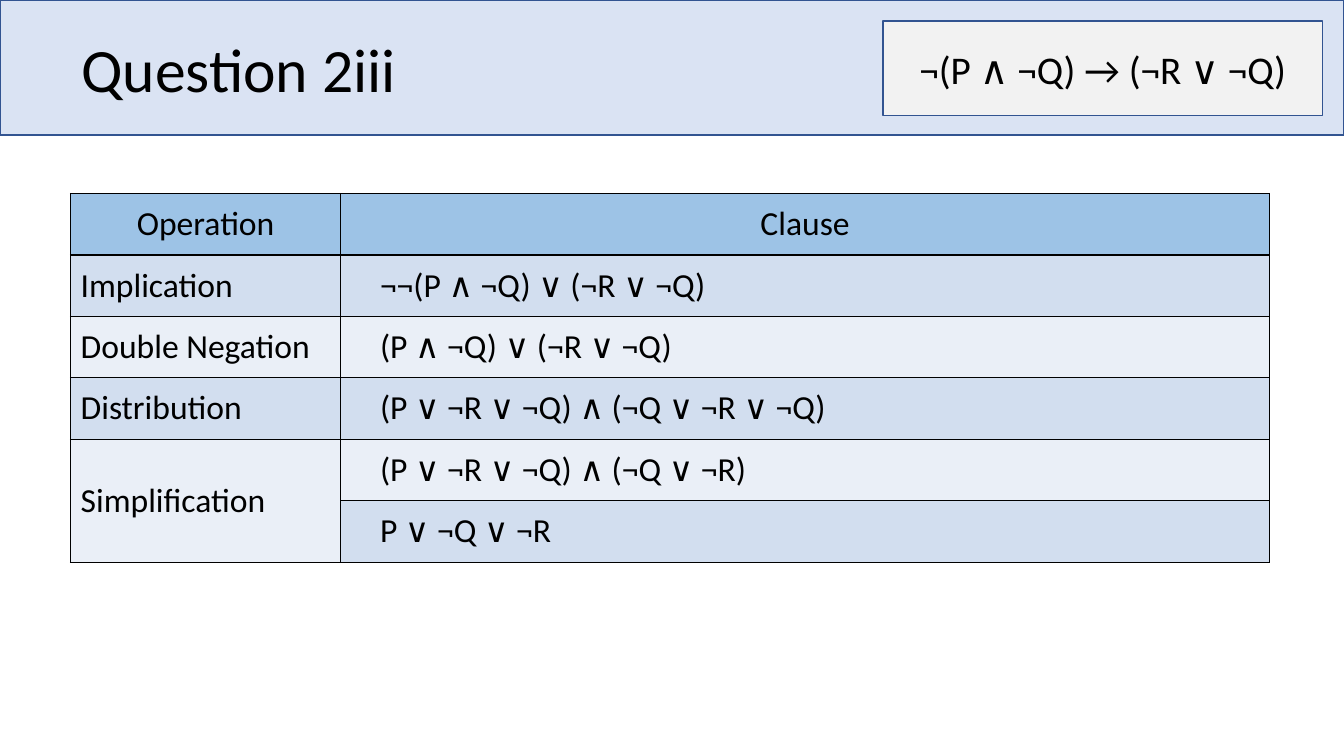
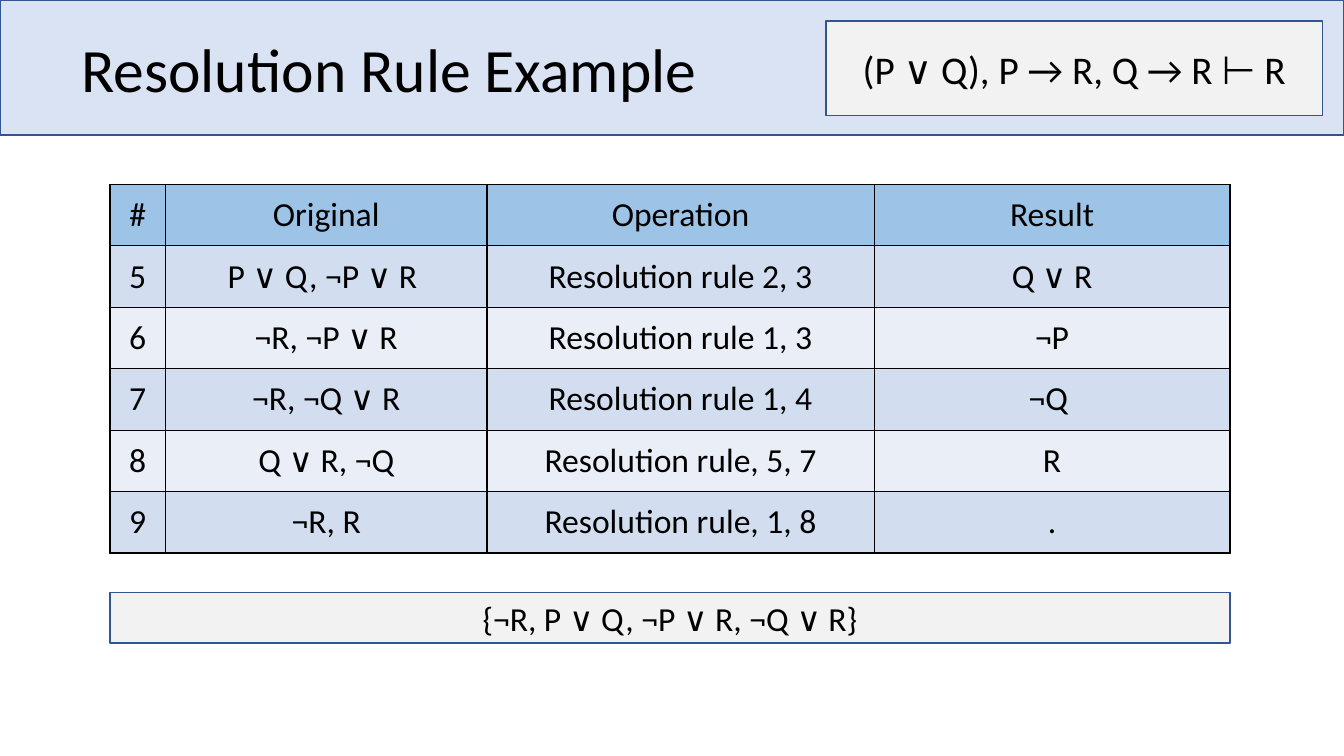
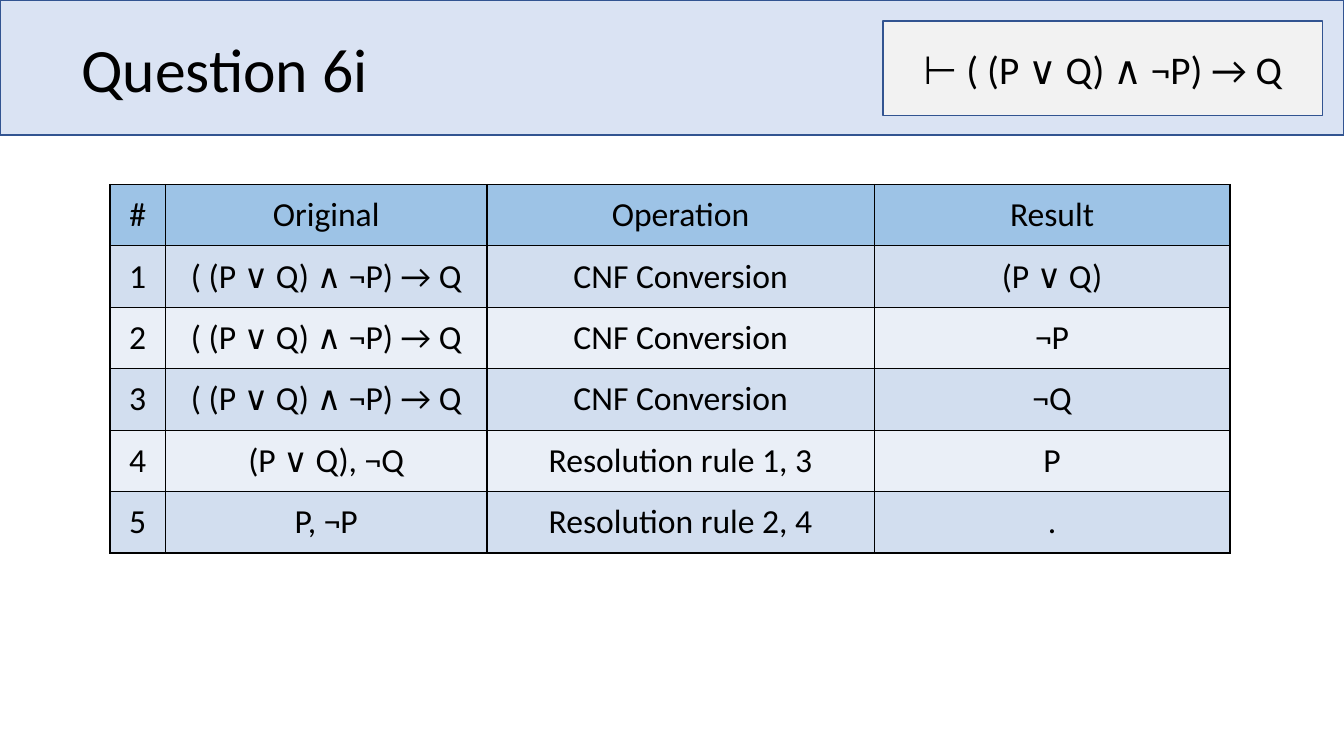
import pptx
import pptx.dml.color
import pptx.enum.dml
import pptx.enum.shapes
import pptx.enum.text
import pptx.oxml
import pptx.oxml.ns
import pptx.util
from dataclasses import dataclass


@dataclass(frozen=True)
class Theme:
    font: str = "Calibri"
    text: str = "000000"
    band: str = "DAE3F3"
    panel: str = "F2F2F2"
    outline: str = "325491"
    header: str = "9DC3E6"
    stripes: tuple = ("D2DEEF", "EAEFF7")
    grid: str = "000000"
    title_size: int = 44
    formula_size: int = 28
    body_size: int = 24


theme = Theme()
rgb = pptx.dml.color.RGBColor.from_string
LEFT = pptx.enum.text.PP_ALIGN.LEFT
CENTER = pptx.enum.text.PP_ALIGN.CENTER
MIDDLE = pptx.enum.text.MSO_ANCHOR.MIDDLE

deck = pptx.Presentation()
deck.slide_width = pptx.util.Inches(13.33)
deck.slide_height = pptx.util.Inches(7.5)

# One column and one row are a hundredth of the slide
COL = deck.slide_width / 100
ROW = deck.slide_height / 100
FORMULA_RIGHT = 98.4
TABLE_ROW = 8.13


def write(frame, text, size, align):
    frame.text = text
    for paragraph in frame.paragraphs:
        paragraph.alignment = align
        for run in paragraph.runs:
            run.font.name = theme.font
            run.font.size = pptx.util.Pt(size)
            run.font.bold = False
            run.font.color.rgb = rgb(theme.text)


def add_panel(slide, left, top, width, height, fill, text="", size=theme.body_size):
    panel = slide.shapes.add_shape(
        pptx.enum.shapes.MSO_SHAPE.RECTANGLE,
        round(left * COL), round(top * ROW), round(width * COL), round(height * ROW))
    panel.shadow.inherit = False
    panel.fill.solid()
    panel.fill.fore_color.rgb = rgb(fill)
    panel.line.color.rgb = rgb(theme.outline)
    panel.line.width = pptx.util.Pt(1)
    panel.text_frame.word_wrap = True
    panel.text_frame.vertical_anchor = MIDDLE
    write(panel.text_frame, text, size, CENTER)


# Table layouts: place, columns and alignment of the body
derivation = {"left": 5.25, "top": 25.6, "columns": (20.1, 69.1),
              "align": LEFT, "indents": (0.1, 0.39)}
resolution = {"left": 8.18, "top": 24.4, "columns": (4.13, 23.93, 28.8, 26.48),
              "align": CENTER, "indents": (0.1,) * 4}
resolution_header = ("#", "Original", "Operation", "Result")
theorem = "( (P ∨ Q) ∧ ¬P) → Q"

# Content; None continues the cell above
lessons = [
    {"title": "Question 2iii", "formula": "¬(P ∧ ¬Q) → (¬R ∨ ¬Q)", "formula_width": 32.7,
     "layout": derivation, "clauses": None,
     "rows": [
         ("Operation", "Clause"),
         ("Implication", "¬¬(P ∧ ¬Q) ∨ (¬R ∨ ¬Q)"),
         ("Double Negation", "(P ∧ ¬Q) ∨ (¬R ∨ ¬Q)"),
         ("Distribution", "(P ∨ ¬R ∨ ¬Q) ∧ (¬Q ∨ ¬R ∨ ¬Q)"),
         ("Simplification", "(P ∨ ¬R ∨ ¬Q) ∧ (¬Q ∨ ¬R)"),
         (None, "P ∨ ¬Q ∨ ¬R")]},
    {"title": "Resolution Rule Example", "formula": "(P ∨ Q), P → R, Q → R ⊢ R",
     "formula_width": 36.95,
     "layout": resolution, "clauses": "{¬R, P ∨ Q, ¬P ∨ R, ¬Q ∨ R}",
     "rows": [
         resolution_header,
         ("5", "P ∨ Q, ¬P ∨ R ", "Resolution rule 2, 3", "Q ∨ R"),
         ("6", "¬R, ¬P ∨ R", "Resolution rule 1, 3", "¬P"),
         ("7", "¬R, ¬Q ∨ R", "Resolution rule 1, 4", "¬Q "),
         ("8", "Q ∨ R, ¬Q", "Resolution rule, 5, 7", "R"),
         ("9", "¬R, R", "Resolution rule, 1, 8", ".")]},
    {"title": "Question 6i", "formula": "⊢ " + theorem, "formula_width": 32.7,
     "layout": resolution, "clauses": None,
     "rows": [
         resolution_header,
         ("1", theorem, "CNF Conversion", "(P ∨ Q)"),
         ("2", theorem, "CNF Conversion", "¬P"),
         ("3", theorem, "CNF Conversion", "¬Q"),
         ("4", "(P ∨ Q), ¬Q", "Resolution rule 1, 3", "P"),
         ("5", "P, ¬P", "Resolution rule 2, 4", ".")]},
]

for lesson in lessons:
    slide = deck.slides.add_slide(deck.slide_layouts[5])
    layout, rows = lesson["layout"], lesson["rows"]
    table_width = sum(layout["columns"])

    # Band, with the title in front of it
    add_panel(slide, 0, 0, 100, 17.87, theme.band)
    title = slide.shapes.title
    title.left, title.top = round(5.3 * COL), round(-0.13 * ROW)
    title.width, title.height = round(86.3 * COL), round(19.33 * ROW)
    title.text_frame.auto_size = pptx.enum.text.MSO_AUTO_SIZE.NONE
    title.text_frame.vertical_anchor = MIDDLE
    write(title.text_frame, lesson["title"], theme.title_size, LEFT)
    title.text_frame.paragraphs[0].line_spacing = 0.9
    title.element.getparent().append(title.element)

    # Formula, flush with the right edge of the band
    add_panel(slide, FORMULA_RIGHT - lesson["formula_width"], 2.8, lesson["formula_width"],
              12.5, theme.panel, lesson["formula"], theme.formula_size)

    # Table of steps
    steps = slide.shapes.add_table(
        len(rows), len(layout["columns"]),
        round(layout["left"] * COL), round(layout["top"] * ROW),
        round(table_width * COL), round(len(rows) * TABLE_ROW * ROW)).table
    for column, width in zip(steps.columns, layout["columns"]):
        column.width = round(width * COL)
    for r, row in enumerate(rows):
        steps.rows[r].height = round(TABLE_ROW * ROW)
        for c, text in enumerate(row):
            cell = steps.cell(r, c)
            cell.vertical_anchor = MIDDLE
            for side in ("lnL", "lnR", "lnT", "lnB"):
                cell._tc.get_or_add_tcPr().append(pptx.oxml.parse_xml(
                    f'<a:{side} {pptx.oxml.ns.nsdecls("a")} w="12700"><a:solidFill>'
                    f'<a:srgbClr val="{theme.grid}"/></a:solidFill></a:{side}>'))
            cell.fill.solid()
            cell.fill.fore_color.rgb = rgb(theme.stripes[(r - 1) % 2] if r else theme.header)
            if text is None:
                steps.cell(r - 1, c).merge(cell)
                continue
            if r:
                cell.margin_left = pptx.util.Inches(layout["indents"][c])
            write(cell.text_frame, text, theme.body_size, layout["align"] if r else CENTER)

    # Clause set, as wide as the table
    if lesson["clauses"]:
        add_panel(slide, layout["left"], 78.4, table_width, 6.67, theme.panel, lesson["clauses"])

deck.save("out.pptx")
